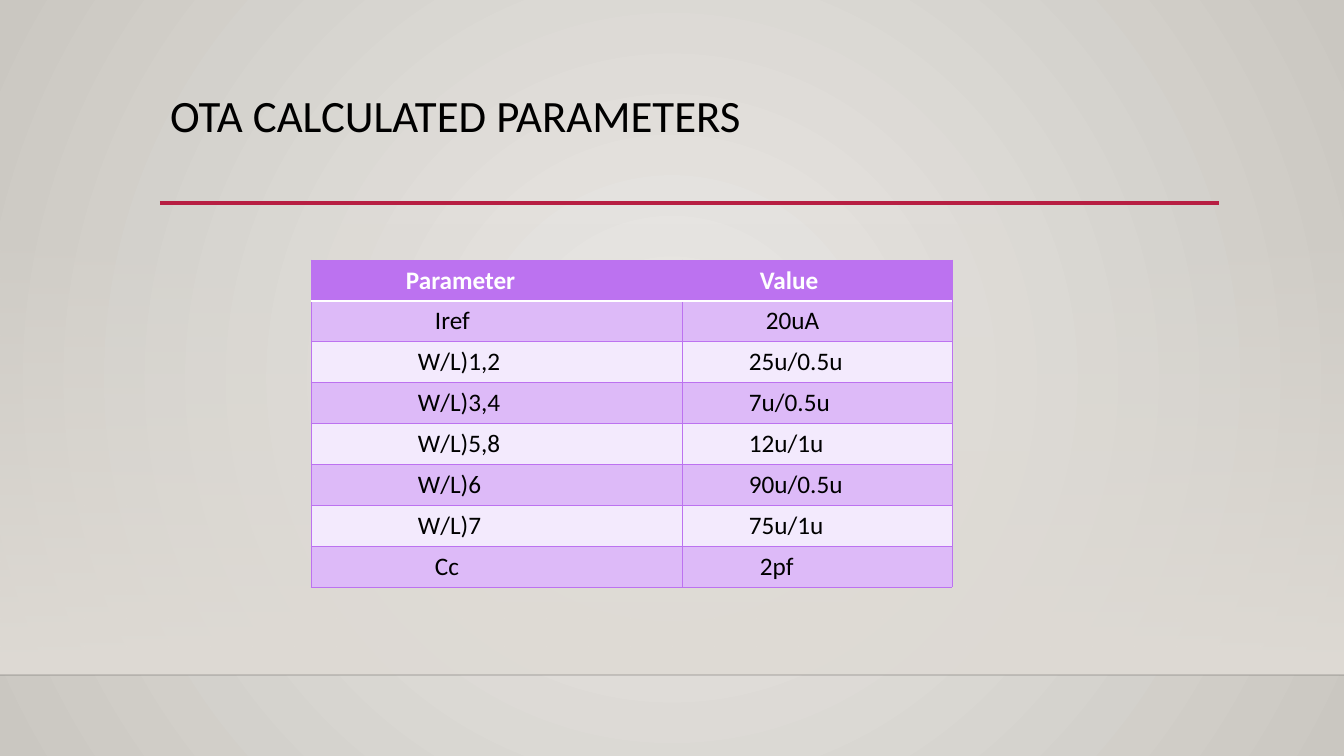
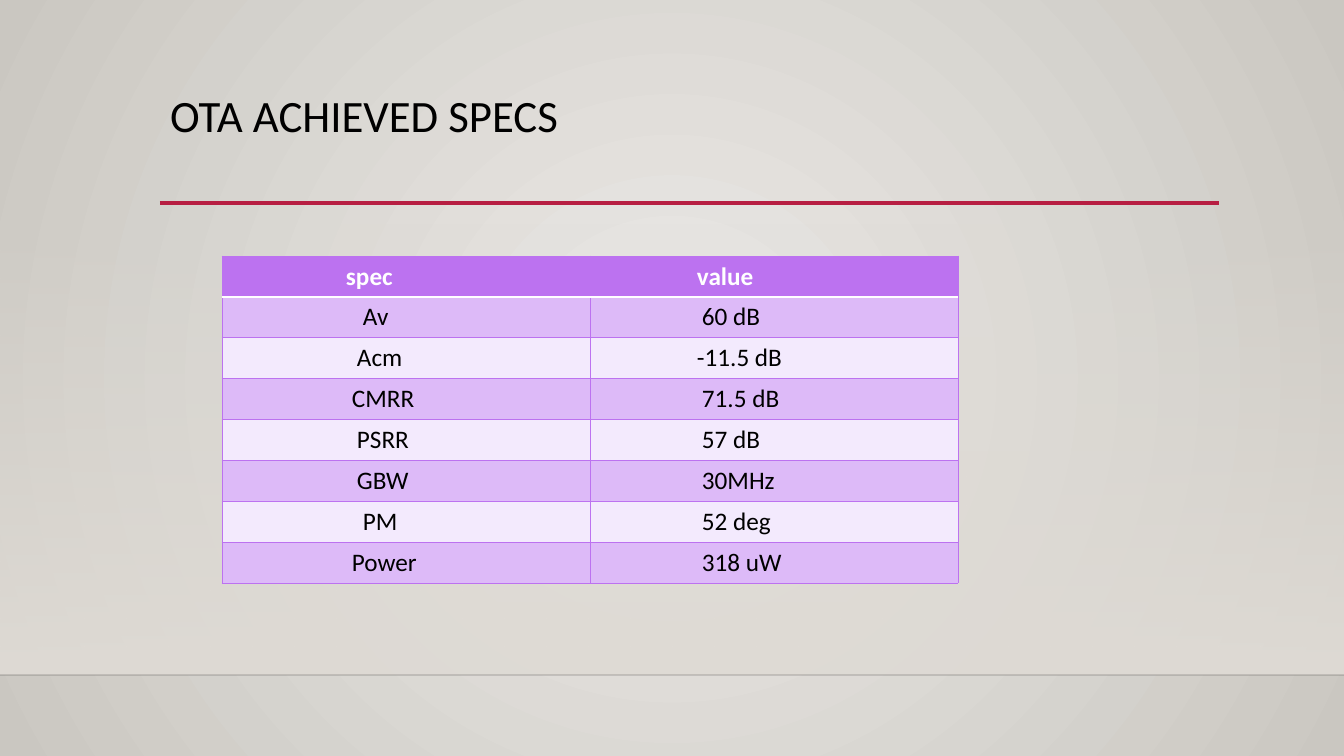
from pptx import Presentation
from pptx.dml.color import RGBColor
from pptx.enum.shapes import MSO_CONNECTOR, MSO_SHAPE
from pptx.enum.text import MSO_ANCHOR, PP_ALIGN
from pptx.oxml import parse_xml
from pptx.oxml.ns import nsdecls, qn
from pptx.util import Emu, Pt

# Content: each cell is (text, left inset in px)
SLIDES = [
    {
        "title": "OTA CALCULATED PARAMETERS",
        "at": (311, 260),
        "columns": (371, 270),
        "rows": [
            (("Parameter", 95), ("Value", 78)),
            (("Iref", 124), ("20uA", 84)),
            (("W/L)1,2", 107), ("25u/0.5u", 67)),
            (("W/L)3,4", 107), ("7u/0.5u", 67)),
            (("W/L)5,8", 107), ("12u/1u", 67)),
            (("W/L)6", 107), ("90u/0.5u", 67)),
            (("W/L)7", 107), ("75u/1u", 67)),
            (("Cc", 124), ("2pf", 78)),
        ],
    },
    {
        "title": "OTA ACHIEVED SPECS",
        "at": (222, 256),
        "columns": (368, 368),
        "rows": [
            (("spec", 124), ("value", 107)),
            (("Av", 141), ("60 dB", 112)),
            (("Acm", 135), ("-11.5 dB", 107)),
            (("CMRR", 130), ("71.5 dB", 112)),
            (("PSRR", 135), ("57 dB", 112)),
            (("GBW", 135), ("30MHz", 112)),
            (("PM", 141), ("52 deg", 112)),
            (("Power", 130), ("318 uW", 112)),
        ],
    },
]

# Shared style
WIDTH, HEIGHT = 1344, 756
BAND_Y, FLOOR_Y, TABLE_HEIGHT = 223, 675, 327
FONT = "Calibri"
BLACK, WHITE, RED = "000000", "FFFFFF", "B71E42"
PURPLE, DARK_ROW, LIGHT_ROW = "BC72F0", "DDBAF8", "F3EAFD"


def px(n):
    return Emu(round(n * 914400 / 100.8))


def rgb(color):
    return RGBColor.from_string(color)


def set_gradient(props, stops, direction):
    """Replace a solid fill by a gradient; stops are (position, colour, opacity)."""
    gs = "".join(
        f'<a:gs pos="{pos * 1000}"><a:srgbClr val="{color}">'
        f'<a:alpha val="{alpha * 1000}"/></a:srgbClr></a:gs>'
        for pos, color, alpha in stops)
    gradient = parse_xml(f'<a:gradFill {nsdecls("a")} rotWithShape="1">'
                         f"<a:gsLst>{gs}</a:gsLst>{direction}</a:gradFill>")
    props.replace(props.find(qn("a:solidFill")), gradient)


def add_rule(s, x1, x2, y, color, width):
    rule = s.shapes.add_connector(MSO_CONNECTOR.STRAIGHT, px(x1), px(y), px(x2), px(y))
    rule.line.color.rgb = rgb(color)
    rule.line.width = Pt(width)
    rule._element.spPr.append(parse_xml(f'<a:effectLst {nsdecls("a")}/>'))
    return rule


def style_layout(layout, s):
    """Give the layout its background, band and rules, drawn first on slide s."""
    layout.background.fill.solid()
    set_gradient(layout.element.find(".//" + qn("p:bgPr")),
                 [(0, "ECEAE7", 100), (100, "CAC7C1", 100)],
                 '<a:path path="circle">'
                 '<a:fillToRect l="50000" t="50000" r="50000" b="50000"/></a:path>')

    band = s.shapes.add_shape(MSO_SHAPE.RECTANGLE, 0, px(BAND_Y),
                              px(WIDTH), px(FLOOR_Y - BAND_Y))
    band.shadow.inherit = False
    band.line.fill.background()
    band.fill.solid()
    set_gradient(band._element.spPr, [(0, "DFDBD5", 0), (100, "DFDBD5", 100)],
                 '<a:lin ang="5400000" scaled="0"/>')

    floor = add_rule(s, 0, WIDTH, FLOOR_Y, "000001", 1)
    floor_color = floor._element.spPr.find(".//" + qn("a:srgbClr"))
    floor_color.append(parse_xml(f'<a:alpha {nsdecls("a")} val="20000"/>'))
    title_rule = add_rule(s, 160, 1219, 203, RED, 2.5)

    # Move the shared parts behind the layout's placeholders
    for i, part in enumerate((band, floor, title_rule)):
        part._element.find(".//" + qn("p:cNvPr")).set("id", str(100 + i))
        layout.shapes._spTree.insert(2 + i, part._element)


def add_run(p, text, size, color, bold=False):
    r = p.add_run()
    r.text = text
    r.font.name = FONT
    r.font.size = Pt(size)
    r.font.bold = bold
    r.font.color.rgb = rgb(color)


def set_title(s, text):
    title = s.shapes.title
    title.left, title.top, title.width, title.height = px(160), px(89), px(1059), px(116)
    tf = title.text_frame
    tf.vertical_anchor = MSO_ANCHOR.TOP
    p = tf.paragraphs[0]
    p.alignment = PP_ALIGN.LEFT
    p.line_spacing = 0.9
    add_run(p, text, 32, BLACK)


def set_borders(cell, row):
    white_side = {0: "B", 1: "T"}.get(row)
    for side in "LRTB":
        color, width = (WHITE, 1.25) if side == white_side else (PURPLE, 0.75)
        cell._tc.get_or_add_tcPr().append(parse_xml(
            f'<a:ln{side} {nsdecls("a")} w="{Pt(width)}"><a:solidFill>'
            f'<a:srgbClr val="{color}"/></a:solidFill></a:ln{side}>'))


def add_value_table(s, at, columns, rows):
    frame = s.shapes.add_table(len(rows), len(columns), px(at[0]), px(at[1]),
                               px(sum(columns)), px(TABLE_HEIGHT))
    table = frame.table
    table.horz_banding = False
    for column, width in zip(table.columns, columns):
        column.width = px(width)
    for i, row in enumerate(rows):
        table.rows[i].height = px(TABLE_HEIGHT / len(rows))
        header = i == 0
        fill = PURPLE if header else DARK_ROW if i % 2 else LIGHT_ROW
        for j, (text, inset) in enumerate(row):
            cell = table.cell(i, j)
            cell.margin_left = px(inset)
            set_borders(cell, i)
            cell.fill.solid()
            cell.fill.fore_color.rgb = rgb(fill)
            add_run(cell.text_frame.paragraphs[0], text, 18,
                    WHITE if header else BLACK, header)


def main():
    prs = Presentation()
    prs.slide_width, prs.slide_height = px(WIDTH), px(HEIGHT)
    layout = prs.slide_layouts[5]
    for i, content in enumerate(SLIDES):
        s = prs.slides.add_slide(layout)
        if i == 0:
            style_layout(layout, s)
        set_title(s, content["title"])
        add_value_table(s, content["at"], content["columns"], content["rows"])
    prs.save("out.pptx")


if __name__ == "__main__":
    main()
